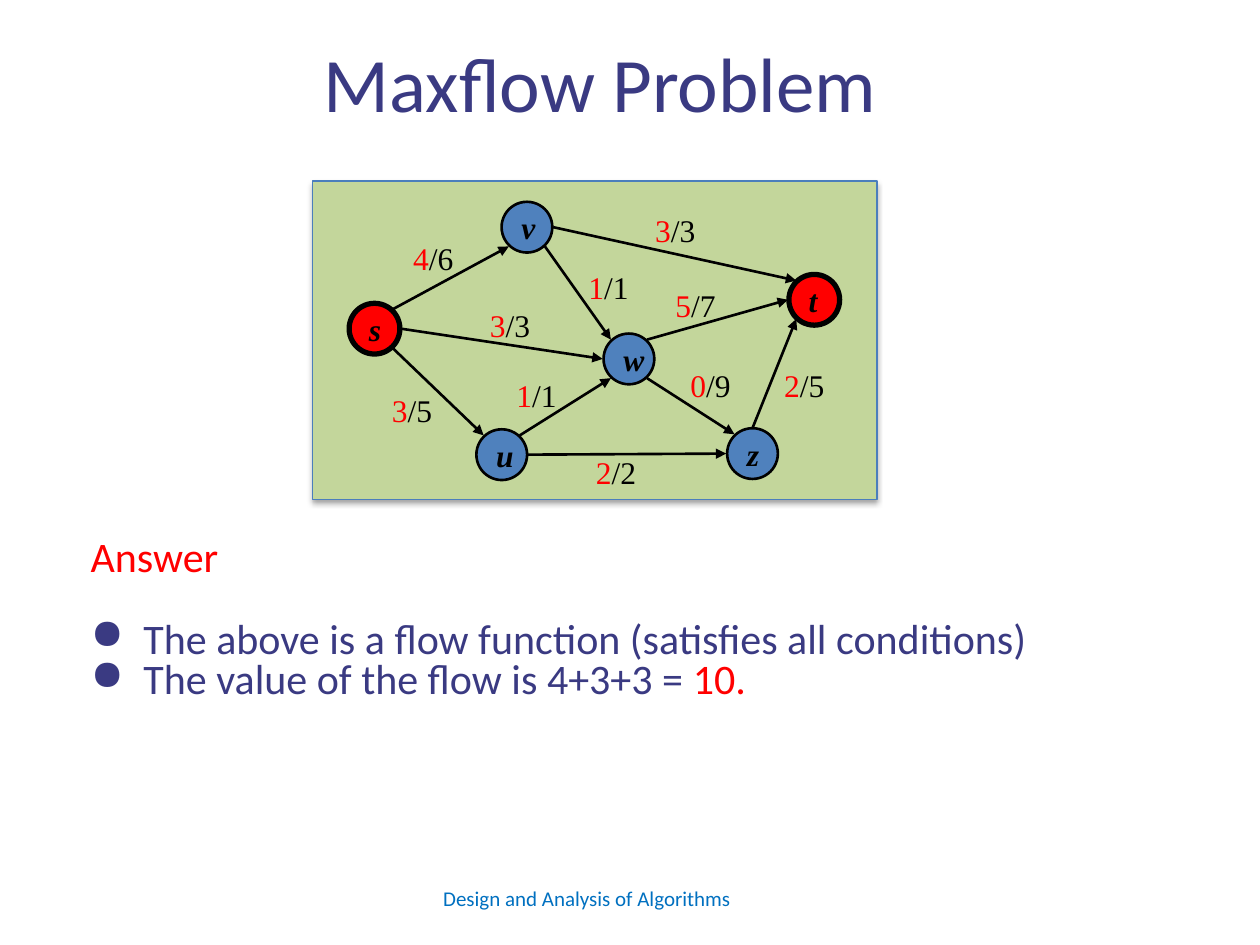
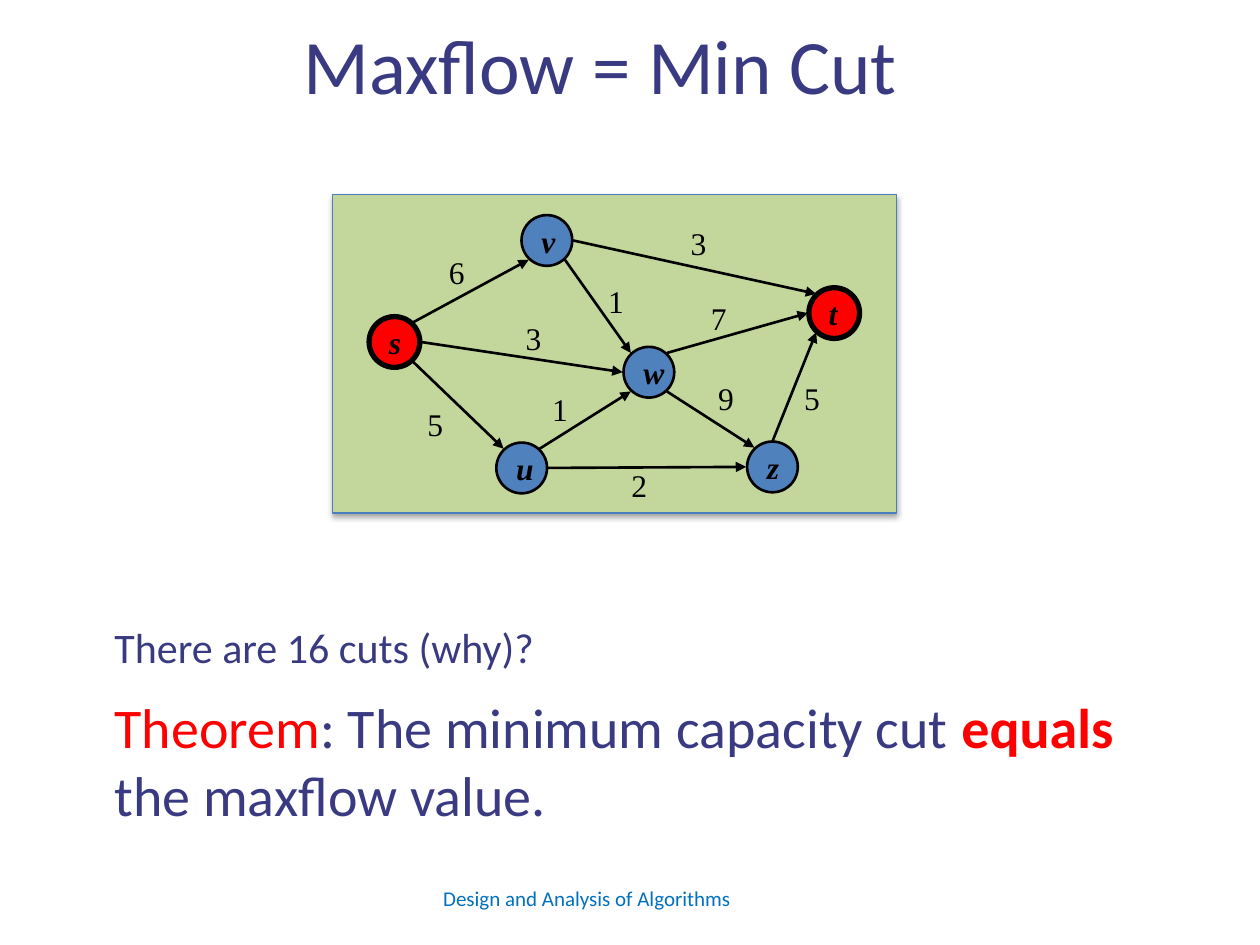
"""Build two slides on maximum flow and minimum cut in a small network."""
from lxml import etree
from pptx import Presentation
from pptx.dml.color import RGBColor
from pptx.enum.shapes import MSO_CONNECTOR, MSO_SHAPE
from pptx.enum.text import MSO_ANCHOR, MSO_AUTO_SIZE, PP_ALIGN
from pptx.oxml.ns import qn
from pptx.util import Pt

RECTANGLE, OVAL = MSO_SHAPE.RECTANGLE, MSO_SHAPE.OVAL
STRAIGHT = MSO_CONNECTOR.STRAIGHT
TOP, MIDDLE = MSO_ANCHOR.TOP, MSO_ANCHOR.MIDDLE
LEFT, CENTER = PP_ALIGN.LEFT, PP_ALIGN.CENTER
NO_AUTO_SIZE = MSO_AUTO_SIZE.NONE

NAVY = RGBColor(0x3A, 0x3A, 0x82)
RED = RGBColor(0xFF, 0x00, 0x00)
BLACK = RGBColor(0x00, 0x00, 0x00)
FOOTER_BLUE = RGBColor(0x00, 0x70, 0xC0)
NODE_BLUE = RGBColor(0x4F, 0x81, 0xBD)
PANEL_GREEN = RGBColor(0xC3, 0xD6, 0x9B)
PANEL_BORDER = RGBColor(0x4B, 0x7E, 0xBC)

SANS, SERIF = "Calibri", "Times New Roman"
TITLE_ONLY = 5
PANEL_SIZE = (322.5, 182)
NODE_SIZE = 29
DIGIT_WIDTH = 9
NODES = {"w": (166.3, 87.1), "s": (20.9, 69.8), "v": (108, 11.8),
         "u": (93.6, 141.8), "t": (272.2, 53.3), "z": (236.9, 141.2)}
TERMINALS = "st"
SITES = {"top": (0, -14.5), "left": (-15, 0), "right": (15, 0),
         "top left": (-10.3, -11), "top right": (10.3, -11),
         "bottom left": (-10.3, 11), "bottom right": (10.3, 11)}

EDGES = [
    ("s", "top right", "v", "bottom left", 4, 6, (50.4, 29.8), 1),
    ("s", "bottom right", "u", "top left", 3, 5, (38.2, 116.6), 1),
    ("v", "bottom right", "w", "top left", 1, 1, (150.5, 46.4), 0),
    ("v", "right", "t", "top left", 3, 3, (188.6, 13.3), 1),
    ("w", "top right", "t", "left", 5, 7, (200.2, 56.5), 1),
    ("w", "bottom right", "z", "top left", 0, 9, (208.8, 102.2), 0.5),
    ("z", "top", "t", "bottom left", 2, 5, (262.4, 102.2), 0),
    ("u", "right", "z", "left", 2, 2, (154.8, 151.9), 1),
    ("u", "top right", "w", "bottom left", 1, 1, (109.4, 108), 1),
    ("s", "right", "w", "left", 3, 3, (94.3, 67.9), 1),
]


class Deck:
    """Hold the style and the current slide, and draw each kind of element."""

    def __init__(self):
        """Start an empty presentation."""
        self.presentation = Presentation()
        self.presentation.slide_width = Pt(720)
        self.presentation.slide_height = Pt(540)
        self.slide = None

    def add_slide(self, title, top):
        """Add a slide with its title and the footer."""
        layout = self.presentation.slide_layouts[TITLE_ONLY]
        self.slide = self.presentation.slides.add_slide(layout)
        shape = self.slide.shapes.title
        self.place(shape, -21.6, top, 729.4, 45.4)
        self.frame(shape, inset=7.2)
        self.fill_paragraph(shape.text_frame.paragraphs[0],
                            [(title, {"color": NAVY})],
                            {"size": 44}, {"alignment": CENTER})
        self.text((246.2, 502.6, 228.2, 28.8),
                  [([("Design and Analysis of Algorithms", {"color": FOOTER_BLUE})],
                    {"size": 12}, {})])

    def place(self, shape, left, top, width, height):
        """Set the position and size of a shape."""
        sizes = {"left": left, "top": top, "width": width, "height": height}
        for name, value in sizes.items():
            setattr(shape, name, Pt(value))

    def frame(self, shape, anchor=TOP, wrap=True, inset=3.6):
        """Set the text frame of a shape."""
        values = {"word_wrap": wrap, "vertical_anchor": anchor,
                  "auto_size": NO_AUTO_SIZE, "margin_left": Pt(7.2),
                  "margin_right": Pt(7.2), "margin_top": Pt(inset),
                  "margin_bottom": Pt(inset)}
        for name, value in values.items():
            setattr(shape.text_frame, name, value)

    def fill_paragraph(self, paragraph, runs, font, layout):
        """Fill a paragraph with formatted runs."""
        for name, value in layout.items():
            setattr(paragraph, name, value)
        for text, changes in runs:
            run = paragraph.add_run()
            run.text = text
            values = {"name": SANS, **font, **changes}
            run.font.color.rgb = values.pop("color")
            values["size"] = Pt(values["size"])
            for name, value in values.items():
                setattr(run.font, name, value)

    def text(self, box, paragraphs, wrap=True, inset=3.6):
        """Add a text box and return its paragraphs."""
        shape = self.slide.shapes.add_textbox(*map(Pt, box))
        self.frame(shape, wrap=wrap, inset=inset)
        for index, (runs, font, layout) in enumerate(paragraphs):
            if index:
                shape.text_frame.add_paragraph()
            self.fill_paragraph(shape.text_frame.paragraphs[index],
                                runs, font, layout)
        return shape.text_frame.paragraphs

    def indent(self, paragraph, margin, hanging=0, bullet=None):
        """Indent a paragraph and give it a bullet if there is one."""
        properties = paragraph._p.get_or_add_pPr()
        properties.set("marL", str(Pt(margin)))
        properties.set("indent", str(Pt(-hanging)))
        if bullet:
            etree.SubElement(properties, qn("a:buChar")).set("char", bullet)

    def shape(self, kind, box, fill, line, width):
        """Add a filled and outlined shape without a shadow."""
        shape = self.slide.shapes.add_shape(kind, *map(Pt, box))
        shape.shadow.inherit = False
        shape.fill.solid()
        shape.fill.fore_color.rgb = fill
        shape.line.color.rgb = line
        shape.line.width = Pt(width)
        return shape

    def panel(self, left, top):
        """Add the green panel with its soft shadow."""
        shape = self.shape(RECTANGLE, (left, top, *PANEL_SIZE),
                           PANEL_GREEN, PANEL_BORDER, 0.75)
        effects = shape._element.spPr.find(qn("a:effectLst"))
        shadow = etree.SubElement(effects, qn("a:outerShdw"))
        values = {"blurRad": Pt(3.1), "dist": Pt(1.8), "dir": 90 * 60000,
                  "rotWithShape": 0}
        for name, value in values.items():
            shadow.set(name, str(value))
        color = etree.SubElement(shadow, qn("a:srgbClr"))
        color.set("val", str(BLACK))
        etree.SubElement(color, qn("a:alpha")).set("val", "35000")

    def node(self, name, left, top):
        """Add a named node, red for the source and the sink."""
        fill, width = (RED, 3) if name in TERMINALS else (NODE_BLUE, 1.5)
        shape = self.shape(OVAL, (left, top, NODE_SIZE, NODE_SIZE),
                           fill, BLACK, width)
        self.frame(shape, MIDDLE, wrap=False)
        font = {"name": SERIF, "size": 18, "bold": True, "italic": True}
        self.fill_paragraph(shape.text_frame.paragraphs[0],
                            [(name, {"color": BLACK})],
                            font, {"alignment": LEFT})

    def arrow(self, begin, end):
        """Add a straight arrow between two points."""
        connector = self.slide.shapes.add_connector(
            STRAIGHT, *map(Pt, (*begin, *end)))
        connector.line.color.rgb = BLACK
        connector.line.width = Pt(1.5)
        properties = connector._element.spPr
        line = properties.find(qn("a:ln"))
        etree.SubElement(line, qn("a:tailEnd")).set("type", "triangle")
        etree.SubElement(properties, qn("a:effectLst"))

    def network(self, left, top, with_flow):
        """Draw the network with flow/capacity or capacity labels."""
        self.panel(left, top)
        for name, (x, y) in NODES.items():
            self.node(name, left + x, top + y)

        def end_point(name, site):
            """Find where an edge meets a node."""
            return [origin + corner + NODE_SIZE / 2 + offset
                    for origin, corner, offset
                    in zip((left, top), NODES[name], SITES[site])]

        for begin, begin_site, end, end_site, flow, capacity, (x, y), shift in EDGES:
            self.arrow(end_point(begin, begin_site), end_point(end, end_site))
            if with_flow:
                runs = [(str(flow), {"color": RED}),
                        (f"/{capacity}", {"color": BLACK})]
                width = 37.4
            else:
                runs = [(str(capacity), {"color": BLACK})]
                x += shift * DIGIT_WIDTH
                width = 23.4
            self.text((left + x, top + y, width, 28.8),
                      [(runs, {"name": SERIF, "size": 18}, {})], wrap=False)


def add_flow_slide(deck):
    """Add the slide with the flow and its value."""
    deck.add_slide("Maxflow Problem", 13)
    deck.network(178.6, 103.5, with_flow=True)
    font, tight = {"size": 24}, {"line_spacing": 0.8}
    answer, *bullets = deck.text((38.9, 301.7, 679, 156.2), [
        ([("Answer", {"color": RED})], font, tight),
        ([("The above is a flow function (satisfies all conditions)",
           {"color": NAVY})], font, {**tight, "space_before": Pt(23.4)}),
        ([("The value of the flow is 4+3+3 = ", {"color": NAVY}),
          ("10.", {"color": RED})], font, tight),
    ], inset=7.2)
    deck.indent(answer, 5.8)
    for paragraph in bullets:
        deck.indent(paragraph, 36, 30.2, "●")


def add_cut_slide(deck):
    """Add the slide with the minimum cut theorem."""
    deck.add_slide("Maxflow = Min Cut", 2.9)
    deck.network(190, 111.1, with_flow=False)
    deck.text((58.3, 351.4, 634.3, 126), [
        ([("There are 16 cuts (why)?", {"color": NAVY})], {"size": 24}, {}),
        ([("Theorem", {"color": RED}),
          (": The minimum capacity cut ", {"color": NAVY}),
          ("equals", {"color": RED, "bold": True}),
          (" the maxflow value.", {"color": NAVY})],
         {"size": 32}, {"space_before": Pt(12.2)}),
    ])


def main():
    """Build and save the presentation."""
    deck = Deck()
    add_flow_slide(deck)
    add_cut_slide(deck)
    deck.presentation.save("out.pptx")


if __name__ == "__main__":
    main()
